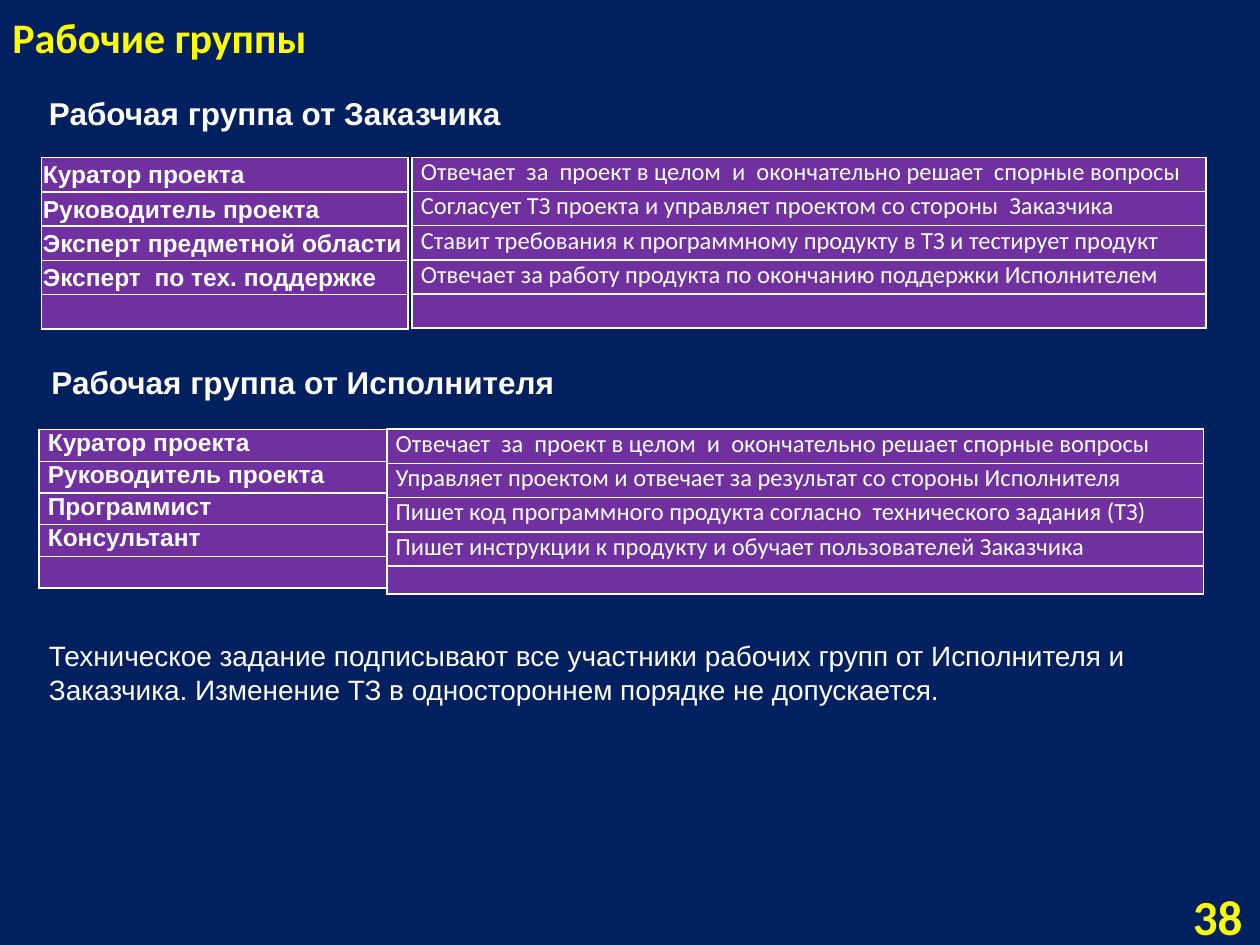
from dataclasses import dataclass
from lxml.etree import SubElement
from pptx import Presentation
from pptx.dml.color import RGBColor
from pptx.enum.shapes import MSO_SHAPE
from pptx.enum.text import MSO_ANCHOR, PP_ALIGN
from pptx.oxml.ns import qn
from pptx.util import Inches, Pt


@dataclass(frozen=True)
class Theme:
    navy: str = "002060"
    purple: str = "7030A0"
    white: str = "FFFFFF"
    yellow: str = "FFFF00"
    sans: str = "Arial"
    body: str = "Calibri"
    title: int = 24
    number: int = 28
    heading: int = 18
    note: int = 16
    cell: int = 14
    empty: int = 10
    border: int = 1


T = Theme()
prs = Presentation()
prs.slide_width, prs.slide_height = Inches(10), Inches(7.5)
s = prs.slides.add_slide(prs.slide_layouts[6])
s.background.fill.solid()
s.background.fill.fore_color.rgb = RGBColor.from_string(T.navy)


def place(x, y, w, h):
    W, H = prs.slide_width / 100, prs.slide_height / 100
    return int(x * W), int(y * H), int(w * W), int(h * H)


def write(tf, text, font, size, color, bold):
    tf.text = text
    f = tf.paragraphs[0].runs[0].font
    f.name, f.size, f.bold = font, Pt(size), bold
    f.color.rgb = RGBColor.from_string(color)


client_roles = ["Куратор проекта", "Руководитель проекта",
                "Эксперт предметной области", "Эксперт  по тех. поддержке", ""]
client_duties = [
    "Отвечает  за  проект в целом  и  окончательно решает  спорные вопросы",
    "Согласует ТЗ проекта и управляет проектом со стороны  Заказчика",
    "Ставит требования к программному продукту в ТЗ и тестирует продукт",
    "Отвечает за работу продукта по окончанию поддержки Исполнителем", ""]
vendor_roles = ["Куратор проекта", "Руководитель проекта", "Программист", "Консультант", ""]
vendor_duties = [
    "Отвечает  за  проект в целом  и  окончательно решает спорные вопросы",
    "Управляет проектом и отвечает за результат со стороны Исполнителя",
    "Пишет код программного продукта согласно  технического задания (ТЗ)",
    "Пишет инструкции к продукту и обучает пользователей Заказчика", ""]

tables = [
    (vendor_roles, 3.1, 45.47, 27.6, 3.35, 3.35, T.sans, True, False),
    (client_roles, 3.3, 16.67, 29.1, 3.63, 3.63, T.sans, True, True),
    (vendor_duties, 30.7, 45.4, 64.8, 3.63, 2.93, T.body, False, False),
    (client_duties, 32.7, 16.67, 63, 3.61, 3.61, T.body, False, False),
]
for texts, x, y, w, row, last, font, bold, tight in tables:
    heights = [row] * (len(texts) - 1) + [last]
    tbl = s.shapes.add_table(len(texts), 1, *place(x, y, w, sum(heights))).table
    tbl.first_row = tbl.horz_banding = False
    for i, (text, h) in enumerate(zip(texts, heights)):
        tbl.rows[i].height = place(0, 0, 0, h)[3]
        c = tbl.cell(i, 0)
        c.margin_left = c.margin_right = Inches(0.01 if tight else 0.07)
        c.margin_top = Inches(0.01 if tight else 0)
        c.margin_bottom = 0
        p = c.text_frame.paragraphs[0]
        if text:
            write(c.text_frame, text, font, T.cell, T.white, bold)
        else:
            SubElement(p._p, qn("a:endParaRPr"), sz=str(T.empty * 100))
        if tight:
            c.vertical_anchor = MSO_ANCHOR.MIDDLE
        else:
            p.line_spacing, p.space_after = 1.15, Pt(10)
        tcPr = c._tc.get_or_add_tcPr()
        for side in ("a:lnL", "a:lnR", "a:lnT", "a:lnB"):
            ln = SubElement(tcPr, qn(side), w=str(Pt(T.border)))
            SubElement(SubElement(ln, qn("a:solidFill")), qn("a:srgbClr"), val=T.white)
        c.fill.solid()
        c.fill.fore_color.rgb = RGBColor.from_string(T.purple)

boxes = [
    ("Рабочие группы", 0, 0, 27.2, 7.2, T.body, T.title, T.yellow, True, MSO_ANCHOR.BOTTOM),
    ("Рабочая группа от Заказчика", 2.9, 9.33, 48, 5.33,
     T.sans, T.heading, T.white, True, MSO_ANCHOR.TOP),
    ("Рабочая группа от Исполнителя", 3.1, 37.73, 53.5, 5.33,
     T.sans, T.heading, T.white, True, MSO_ANCHOR.TOP),
    ("Техническое задание подписывают все участники рабочих групп от Исполнителя и "
     "Заказчика. Изменение ТЗ в одностороннем порядке не допускается.",
     2.9, 66.93, 94.2, 8.53, T.sans, T.note, T.white, False, MSO_ANCHOR.TOP),
]
for text, x, y, w, h, font, size, color, bold, anchor in boxes:
    tf = s.shapes.add_textbox(*place(x, y, w, h)).text_frame
    tf.word_wrap = True
    tf.vertical_anchor = anchor
    write(tf, text, font, size, color, bold)

sp = s.shapes.add_shape(MSO_SHAPE.RECTANGLE, *place(89.4, 94.27, 10.2, 5.33))
sp.shadow.inherit = False
sp.fill.solid()
sp.fill.fore_color.rgb = RGBColor.from_string(T.navy)
sp.line.fill.background()
sp.text_frame.vertical_anchor = MSO_ANCHOR.MIDDLE
write(sp.text_frame, "38", T.body, T.number, T.yellow, True)
sp.text_frame.paragraphs[0].alignment = PP_ALIGN.RIGHT

prs.save("out.pptx")
